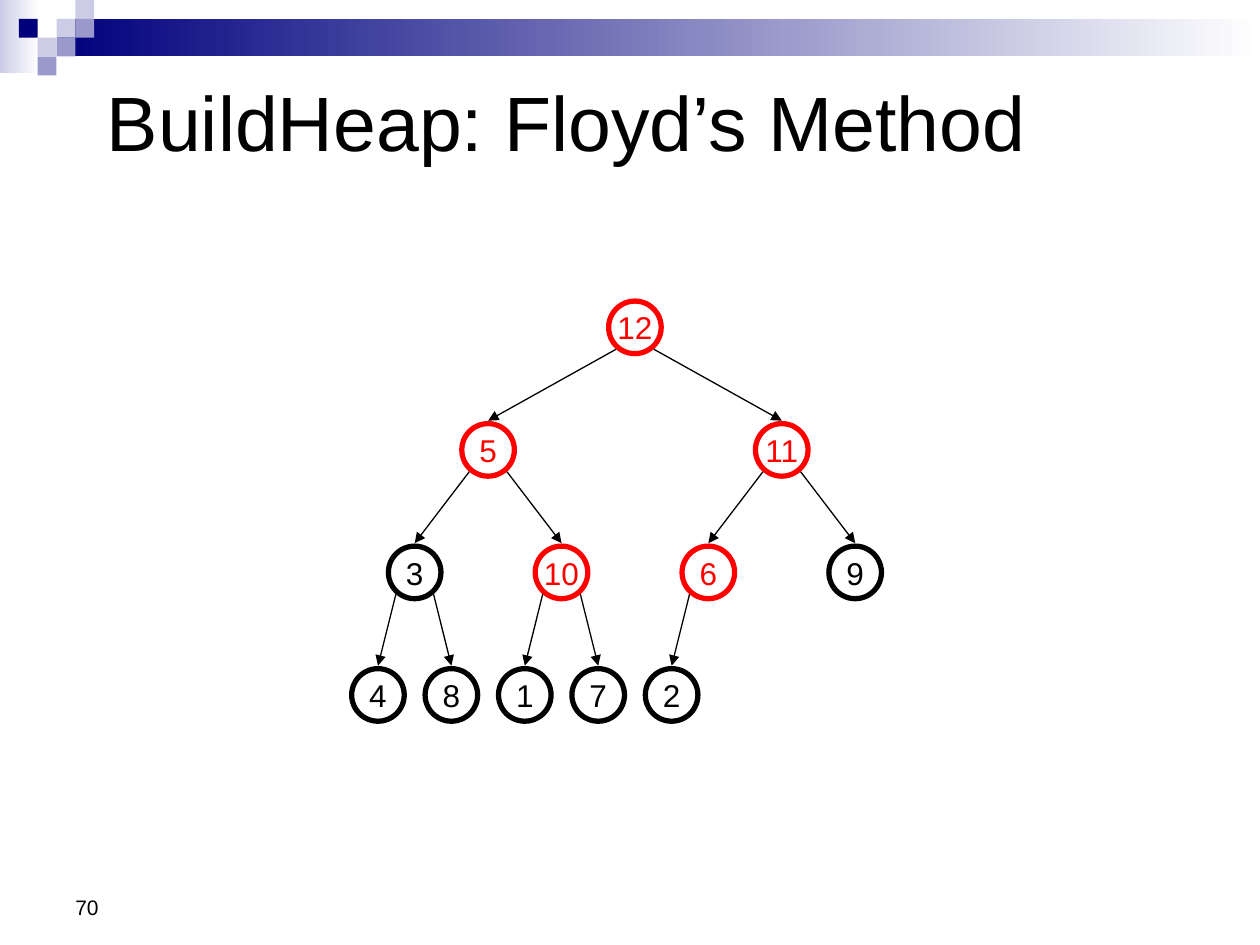
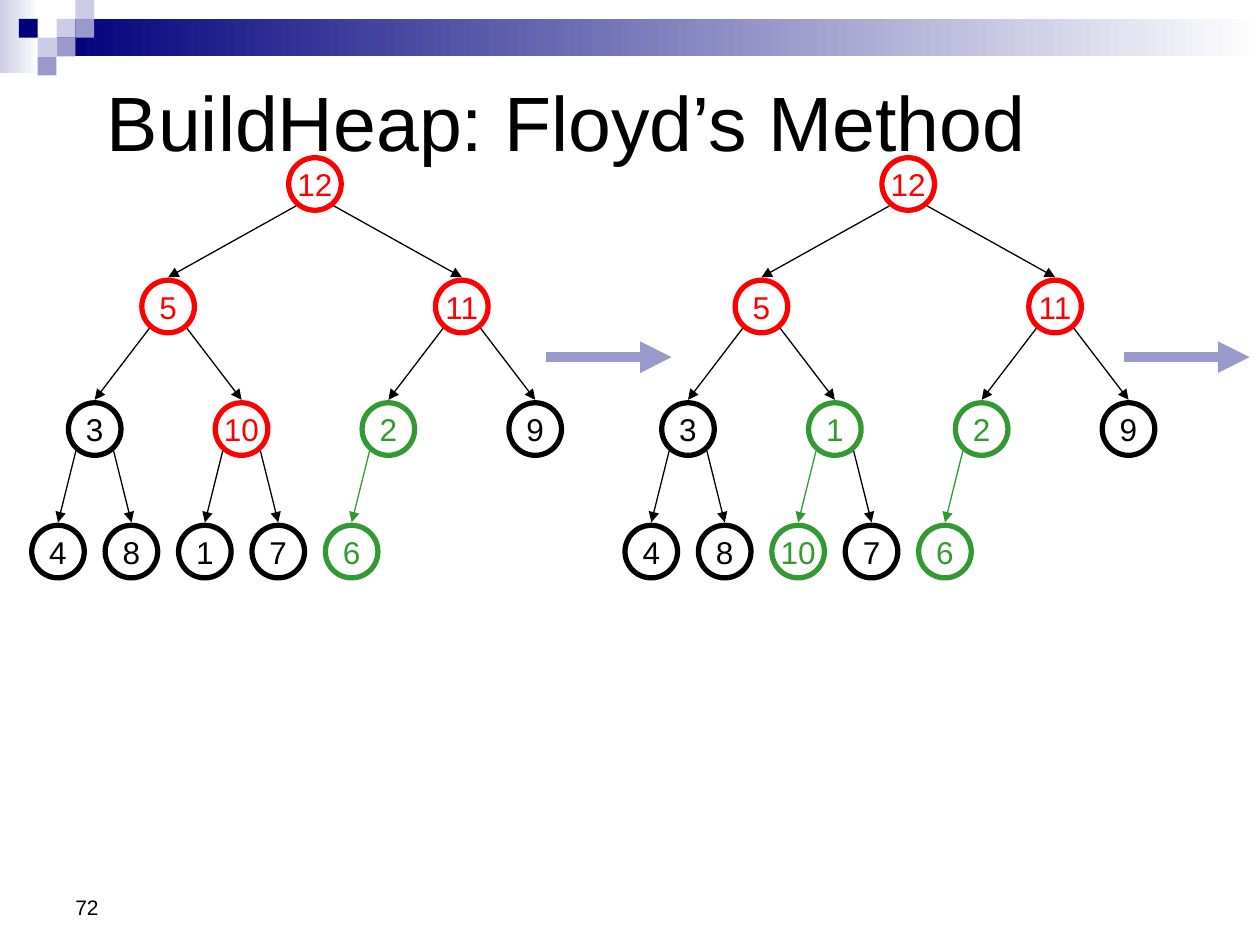
from lxml.etree import SubElement
from pptx import Presentation
from pptx.dml.color import RGBColor
from pptx.enum.shapes import MSO_CONNECTOR, MSO_SHAPE
from pptx.enum.text import MSO_ANCHOR, MSO_AUTO_SIZE, PP_ALIGN
from pptx.oxml.ns import qn
from pptx.util import Cm, Pt

FONT = "Arial"
BLACK, WHITE = "000000", "FFFFFF"
NAVY, LILAC, PALE = "00007D", "9999CC", "CCCCE6"
MARKS = {"k": BLACK, "r": "FF0000", "g": "339933"}
TITLE = "BuildHeap: Floyd’s Method"

SQUARE = 0.38
SQUARES = [(3, 1, PALE), (4, 0, PALE), (4, 1, LILAC), (2, 2, PALE),
           (1, 1, NAVY), (3, 2, LILAC), (2, 3, LILAC)]

NODE = 1.06
LEAF_STEP, LEVEL_STEP = 1.48, 2.47
LEAVES = 8
EXIT_X, EXIT_Y, ENTRY_GAP = 0.38, 0.97, 0.06


def color(value):
    """Turn a hex string into a colour."""
    return RGBColor.from_string(value)


def style_text(frame, text, size, anchor, fill=BLACK, align=PP_ALIGN.LEFT):
    """Write one paragraph of text into a frame and format it."""
    frame.text = text
    frame.auto_size = MSO_AUTO_SIZE.NONE
    frame.vertical_anchor = anchor
    para = frame.paragraphs[0]
    para.alignment = align
    para.font.name = FONT
    para.font.size = Pt(size)
    para.font.color.rgb = color(fill)


def add_block(page, left, top, width, height, fill, fade_to=None):
    """Add a borderless rectangle with a plain or fading fill."""
    block = page.shapes.add_shape(
        MSO_SHAPE.RECTANGLE, Cm(left), Cm(top), Cm(width), Cm(height))
    block.shadow.inherit = False
    block.line.fill.background()
    if fade_to is None:
        block.fill.solid()
        block.fill.fore_color.rgb = color(fill)
        return
    block.fill.gradient()
    block.fill.gradient_angle = 0
    for stop, value in zip(block.fill.gradient_stops, (fill, fade_to)):
        stop.color.rgb = color(value)


def add_arrow(page, start, end, stroke=BLACK, width=0.75):
    """Draw a straight arrow between two points."""
    arrow = page.shapes.add_connector(
        MSO_CONNECTOR.STRAIGHT, *(Cm(value) for value in (*start, *end)))
    arrow.line.color.rgb = color(stroke)
    arrow.line.width = Pt(width)
    SubElement(arrow.line._get_or_add_ln(), qn("a:tailEnd"), type="triangle")
    SubElement(arrow._element.spPr, qn("a:effectLst"))


def add_banner(page):
    """Draw the fading bands and the squares at the top."""
    add_block(page, 0, 0, 0.79, 1.47, PALE, WHITE)
    add_block(page, 3 * SQUARE, SQUARE, 25.4 - 3 * SQUARE, 2 * SQUARE, NAVY, WHITE)
    for column, row, fill in SQUARES:
        add_block(page, column * SQUARE, row * SQUARE, SQUARE, SQUARE, fill)


def add_page(deck, number):
    """Add a slide with its banner, title and page number."""
    page = deck.slides.add_slide(deck.slide_layouts[5])
    add_banner(page)
    title = page.shapes.title
    title.left, title.top, title.width, title.height = Cm(1.9), Cm(0.84), Cm(21.6), Cm(3.18)
    style_text(title.text_frame, TITLE, 44, MSO_ANCHOR.MIDDLE)
    footer = page.shapes.add_textbox(Cm(1.27), Cm(17.35), Cm(5.92), Cm(1.32))
    footer.text_frame.word_wrap = True
    style_text(footer.text_frame, str(number), 12, MSO_ANCHOR.BOTTOM)
    return page


def node_place(index):
    """Give the centre and top of a heap node relative to its tree."""
    level = (index + 1).bit_length() - 1
    position = index + 1 - 2 ** level
    span = LEAVES / 2 ** level
    center = ((position + 0.5) * span - 0.5) * LEAF_STEP + NODE / 2
    return center, level * LEVEL_STEP


def add_node(page, center, top, label, stroke):
    """Draw one ringed node with its value."""
    node = page.shapes.add_shape(
        MSO_SHAPE.OVAL, Cm(center - NODE / 2), Cm(top), Cm(NODE), Cm(NODE))
    node.shadow.inherit = False
    node.fill.background()
    node.line.color.rgb = color(stroke)
    node.line.width = Pt(3)
    node.text_frame.word_wrap = False
    style_text(node.text_frame, label, 18, MSO_ANCHOR.MIDDLE, stroke, PP_ALIGN.CENTER)


def add_heap(page, left, top, values, marks):
    """Draw a heap in level order, with green edges between swapped nodes."""
    places = [(left + x, top + y) for x, y in map(node_place, range(len(values)))]
    for index, (center, node_top) in enumerate(places):
        add_node(page, center, node_top, str(values[index]), MARKS[marks[index]])
        if index == 0:
            continue
        parent = (index - 1) // 2
        parent_center, parent_top = places[parent]
        side = -1 if index % 2 else 1
        swapped = marks[parent] == marks[index] == "g"
        add_arrow(page,
                  (parent_center + side * EXIT_X, parent_top + EXIT_Y),
                  (center, node_top - ENTRY_GAP),
                  MARKS["g" if swapped else "k"])


def add_step_arrow(page, left, top):
    """Draw the thick arrow that leads to the next step."""
    add_arrow(page, (left, top), (left + 2.54, top), LILAC, 6)


def main():
    """Build the deck."""
    deck = Presentation()
    deck.slide_width, deck.slide_height = Cm(25.4), Cm(19.05)

    start = add_page(deck, 70)
    add_heap(start, 7.09, 6.07, [12, 5, 11, 3, 10, 6, 9, 4, 8, 1, 7, 2], "rrrkrrkkkkkk")

    steps = add_page(deck, 72)
    add_heap(steps, 0.64, 3.18, [12, 5, 11, 3, 10, 2, 9, 4, 8, 1, 7, 6], "rrrkrgkkkkkg")
    add_step_arrow(steps, 11, 7.2)
    add_heap(steps, 12.6, 3.18, [12, 5, 11, 3, 1, 2, 9, 4, 8, 10, 7, 6], "rrrkggkkkgkg")
    add_step_arrow(steps, 22.65, 7.2)

    deck.save("out.pptx")


if __name__ == "__main__":
    main()
